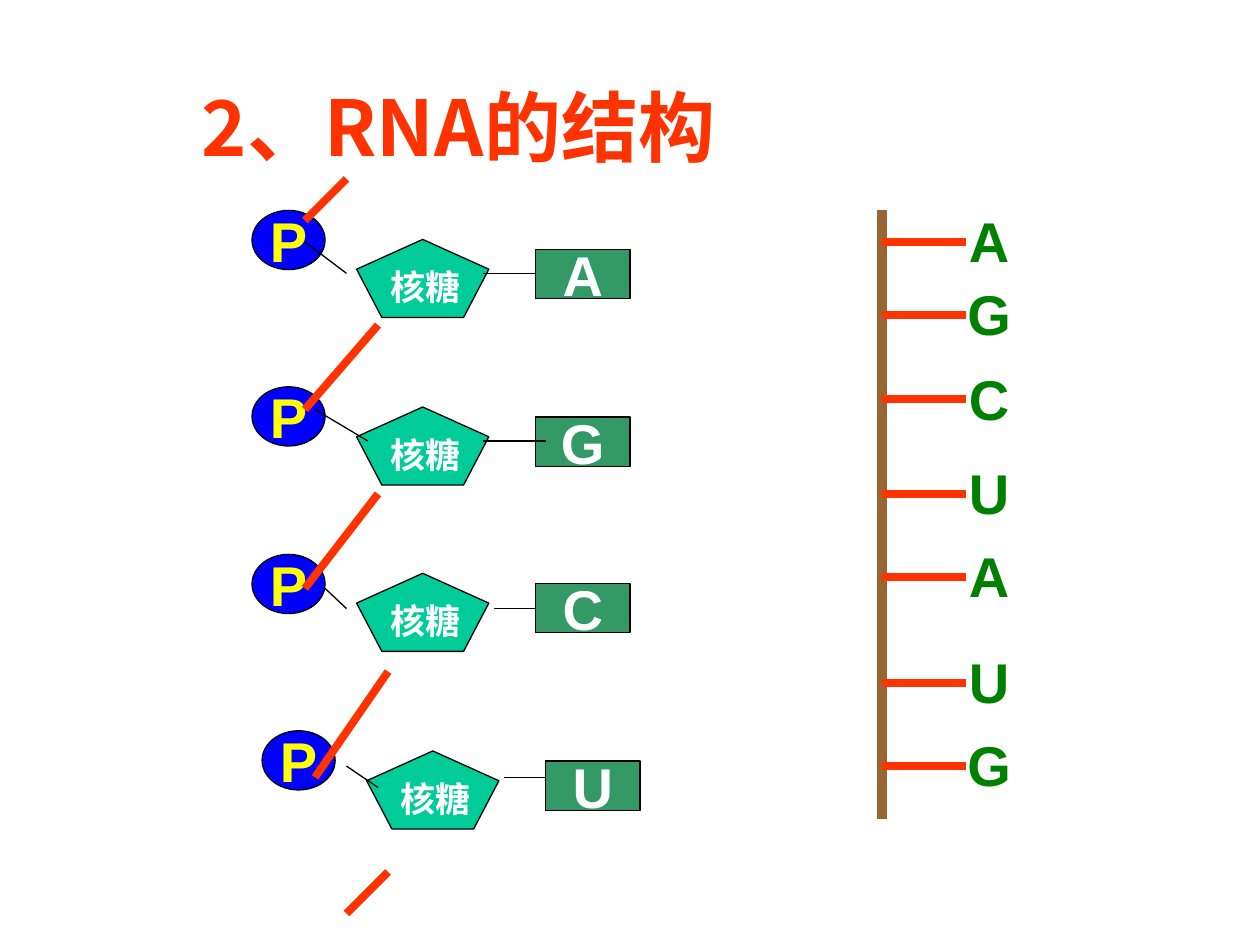
from dataclasses import dataclass

from lxml import etree
from pptx import Presentation
from pptx.dml.color import RGBColor
from pptx.enum import shapes, text
from pptx.oxml import ns
from pptx.util import Inches, Pt


@dataclass(frozen=True)
class Theme:
    """Colours, fonts and type sizes of the slide."""
    red: str = "FF3300"
    black: str = "000000"
    white: str = "FFFFFF"
    blue: str = "0000FF"
    yellow: str = "FFFF00"
    teal: str = "00CC99"
    base_green: str = "339966"
    letter_green: str = "008000"
    brown: str = "996633"
    latin: str = "Arial"
    chinese: str = "Noto Sans CJK JP"
    title_size: float = 44
    letter_size: float = 32
    sugar_size: float = 20
    thin: float = 0.75
    thick: float = 4.5
    strand: float = 6


@dataclass(frozen=True)
class Nucleotide:
    """A phosphate, a sugar and a base, placed by left edge and sugar top."""
    base: str
    left: float
    top: float
    phosphate_top: float


@dataclass(frozen=True)
class Bond:
    """A straight line between two points."""
    x1: float
    y1: float
    x2: float
    y2: float


@dataclass(frozen=True)
class Rung:
    """A base letter on the simplified strand."""
    base: str
    y: float


THEME = Theme()

NUCLEOTIDES = [
    Nucleotide("A", 2, 1.9, 1.67),
    Nucleotide("G", 2, 3.23, 3.07),
    Nucleotide("C", 2, 4.55, 4.4),
    Nucleotide("U", 2.08, 5.96, 5.8),
]
BACKBONE = [
    Bond(2.75, 1.42, 2.42, 1.75),
    Bond(3, 2.58, 2.42, 3.25),
    Bond(3, 3.92, 2.42, 4.67),
    Bond(3.08, 5.33, 2.5, 6.17),
    Bond(3.08, 6.92, 2.75, 7.25),
]
SUGAR_BONDS = [
    Bond(2.42, 1.92, 2.75, 2.17),
    Bond(2.5, 3.25, 2.92, 3.5),
    Bond(2.58, 4.67, 2.75, 4.83),
    Bond(2.75, 6.08, 3, 6.25),
    Bond(3.83, 2.17, 4.25, 2.17),
    Bond(3.83, 3.5, 4.33, 3.5),
    Bond(3.92, 4.83, 4.25, 4.83),
    Bond(4, 6.17, 4.33, 6.17),
]
RUNGS = [
    Rung("A", 1.92), Rung("G", 2.5), Rung("C", 3.17), Rung("U", 3.92),
    Rung("A", 4.58), Rung("U", 5.42), Rung("G", 6.08),
]


def write(frame, words: str, size: float, color: str, latin: str, anchor) -> None:
    """Put one centred bold line in a text frame."""
    frame.text = words
    frame.word_wrap = False
    frame.auto_size = text.MSO_AUTO_SIZE.NONE
    frame.vertical_anchor = anchor
    line = frame.paragraphs[0]
    line.alignment = text.PP_ALIGN.CENTER
    line.font.name = latin
    line.font.size = Pt(size)
    line.font.bold = True
    line.font.color.rgb = RGBColor.from_string(color)
    defaults = line._p.pPr.find(ns.qn("a:defRPr"))
    etree.SubElement(defaults, ns.qn("a:ea"), typeface=THEME.chinese)


def add_label(slide, words: str, left: float, top: float, width: float,
              height: float, size: float, color: str) -> None:
    """Add a text box with one centred line."""
    label = slide.shapes.add_textbox(
        Inches(left), Inches(top), Inches(width), Inches(height))
    write(label.text_frame, words, size, color, THEME.latin, text.MSO_ANCHOR.TOP)


def add_part(slide, kind, left: float, top: float, width: float, height: float,
             fill: str, letter: str = "", color: str = THEME.white) -> None:
    """Add a filled outlined shape, with a letter if one is given."""
    part = slide.shapes.add_shape(
        kind, Inches(left), Inches(top), Inches(width), Inches(height))
    part.shadow.inherit = False
    part.fill.solid()
    part.fill.fore_color.rgb = RGBColor.from_string(fill)
    part.line.color.rgb = RGBColor.from_string(THEME.black)
    part.line.width = Pt(THEME.thin)
    if letter:
        write(part.text_frame, letter, THEME.letter_size, color, THEME.latin,
              text.MSO_ANCHOR.MIDDLE)


def add_bond(slide, bond: Bond, color: str, width: float) -> None:
    """Add a straight line without a shadow."""
    line = slide.shapes.add_connector(
        shapes.MSO_CONNECTOR.STRAIGHT, Inches(bond.x1), Inches(bond.y1),
        Inches(bond.x2), Inches(bond.y2))
    line.line.color.rgb = RGBColor.from_string(color)
    line.line.width = Pt(width)
    etree.SubElement(line._element.spPr, ns.qn("a:effectLst"))


def add_nucleotide(slide, unit: Nucleotide) -> None:
    """Draw one phosphate, sugar and base."""
    kinds = shapes.MSO_SHAPE
    add_part(slide, kinds.OVAL, unit.left, unit.phosphate_top, 0.58, 0.47,
             THEME.blue, "P", THEME.yellow)
    add_part(slide, kinds.RECTANGLE, unit.left + 2.25, unit.top + 0.08, 0.75, 0.39,
             THEME.base_green, unit.base)
    add_part(slide, kinds.REGULAR_PENTAGON, unit.left + 0.83, unit.top, 1.05, 0.62,
             THEME.teal)
    add_label(slide, "核糖", unit.left + 1, unit.top + 0.16, 0.75, 0.44,
              THEME.sugar_size, THEME.white)


def add_rung(slide, rung: Rung) -> None:
    """Draw one rung of the simplified strand with its letter."""
    add_bond(slide, Bond(7, rung.y, 7.67, rung.y), THEME.red, THEME.thick)
    add_label(slide, rung.base, 7.59, rung.y - 0.33, 0.52, 0.64,
              THEME.letter_size, THEME.letter_green)


def main() -> None:
    """Build the slide on the structure of RNA."""
    deck = Presentation()
    deck.slide_width, deck.slide_height = Inches(10), Inches(7.5)
    slide = deck.slides.add_slide(deck.slide_layouts[5])

    title = slide.shapes.title
    title.left, title.top = Inches(1.26), Inches(0.58)
    title.width, title.height = Inches(4.76), Inches(0.84)
    write(title.text_frame, "2、RNA的结构", THEME.title_size, THEME.red,
          THEME.chinese, text.MSO_ANCHOR.TOP)

    for unit in NUCLEOTIDES:
        add_nucleotide(slide, unit)
    for bond in BACKBONE:
        add_bond(slide, bond, THEME.red, THEME.thick)
    add_bond(slide, Bond(7, 1.67, 7, 6.5), THEME.brown, THEME.strand)
    for rung in RUNGS:
        add_rung(slide, rung)
    for bond in SUGAR_BONDS:
        add_bond(slide, bond, THEME.black, THEME.thin)

    deck.save("out.pptx")


if __name__ == "__main__":
    main()
